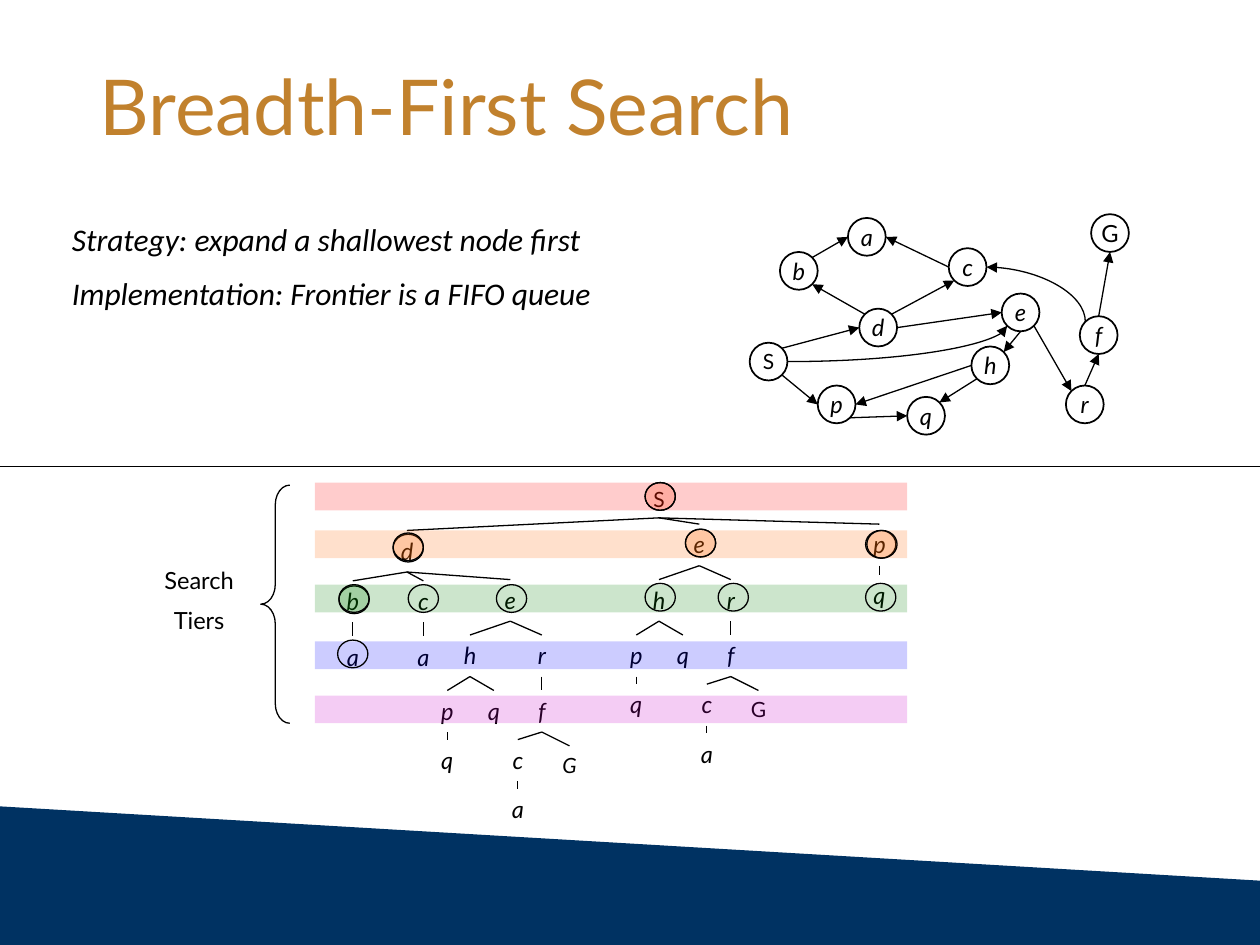
from lxml import etree
from pptx import Presentation
from pptx.dml.color import RGBColor
from pptx.enum.shapes import MSO_CONNECTOR, MSO_SHAPE
from pptx.enum.text import MSO_ANCHOR, PP_ALIGN
from pptx.oxml.ns import qn
from pptx.util import Inches, Pt

STRAIGHT, CURVE = MSO_CONNECTOR.STRAIGHT, MSO_CONNECTOR.CURVE
RECT, OVAL, BRACE = MSO_SHAPE.RECTANGLE, MSO_SHAPE.OVAL, MSO_SHAPE.LEFT_BRACE
NODE = MSO_SHAPE.FLOWCHART_CONNECTOR
CENTER, LEFT, MIDDLE = PP_ALIGN.CENTER, PP_ALIGN.LEFT, MSO_ANCHOR.MIDDLE

COLORS = {"ink": "000000", "title": "C1812D", "footer": "003262",
          "start": "FF3300", "tier0": "FF0000", "tier1": "FF6600",
          "tier2": "008000", "tier3": "0000FF", "tier4": "CC00CC"}

# The slide is a grid of 1000 columns by 750 rows
COLS, ROWS = 1000, 750
CELL = Inches(10) // COLS

# State graph: centre of each node within its box
NODE_SIZE = 30
GRAPH_NODES = {"S": (15, 117), "G": (286, 15), "d": (102, 90), "b": (39, 45),
               "p": (69, 151), "q": (140, 160), "c": (173, 42), "e": (215, 78),
               "h": (191, 120), "a": (93, 18), "f": (277, 96), "r": (266, 151)}
GRAPH_EDGES = ["S se p w", "p se q w", "h sw q ne", "h w p e", "e s h ne",
               "e se r nw", "r n f s", "f n G s", "S ne d w", "d nw b se",
               "b ne a w", "c w a e", "d ne c sw", "d e e w"]
# Curved edges leave sideways; the last field says which end has the arrow
CURVED_EDGES = ["c e f nw headEnd", "S e e sw tailEnd"]


def expansion_of_e(goal_italic):
    """Children of e as (label, dx, dy, children, italic)."""
    p = ("p", -18, 44, [("q", 0, 39, [], True)], True)
    c = ("c", -19, 39, [("a", 0, 39, [], True)], True)
    f = ("f", 0, 44, [c, ("G", 22, 44, [], goal_italic)], True)
    return [("h", -32, 44, [p, ("q", 19, 44, [], True)], True),
            ("r", 25, 44, [f], True)]


SEARCH_TREE = ("S", 273, 0, [
    ("d", -200, 40, [
        ("b", -43, 40, [("a", 0, 44, [], True)], True),
        ("c", 13, 40, [("a", 0, 44, [], True)], True),
        ("e", 82, 39, expansion_of_e(True), True)], True),
    ("e", 32, 35, expansion_of_e(False), True),
    ("p", 175, 35, [("q", 0, 40, [], True)], True)], False)

BAND_ROWS = [2, 40, 83, 128, 171]
# Marks on visited nodes: column, row, fill
MARKS = [(262, 2, "start"), (262, 2, None), (62, 43, None), (294, 39, None),
         (437, 40, None), (19, 84, None), (74, 83, None), (144, 83, None),
         (262, 82, None), (320, 82, None), (437, 82, None), (18, 127, None),
         (62, 42, "tier1"), (294, 39, "tier1"), (438, 40, "tier1"),
         (19, 83, "tier2")]


def rgb(name):
    return RGBColor.from_string(COLORS[name])


def grid(*cells):
    return [round(c * CELL) for c in cells]


def write(tf, lines, size, italic=False, font="Lato", color="ink",
          align=CENTER, gap=0):
    for i, line in enumerate(lines):
        p = tf.paragraphs[0] if i == 0 else tf.add_paragraph()
        p.text, p.alignment = line, align
        p.font.name, p.font.size, p.font.italic = font, Pt(size), italic
        p.font.color.rgb = rgb(color)
        if i:
            p.space_before = Pt(gap)


def add_text(s, box, lines, size, **style):
    tf = s.shapes.add_textbox(*grid(*box)).text_frame
    tf.word_wrap = True
    write(tf, lines, size, **style)
    return tf


def add_shape(s, kind, box, fill=None, width=None):
    sp = s.shapes.add_shape(kind, *grid(*box))
    sp.shadow.inherit = False
    if fill:
        sp.fill.solid()
        sp.fill.fore_color.rgb = rgb(fill)
        # Tints let the labels beneath show through
        clr = sp._element.spPr.find(".//" + qn("a:srgbClr"))
        etree.SubElement(clr, qn("a:alpha"), val="20000")
    else:
        sp.fill.background()
    if width:
        sp.line.color.rgb, sp.line.width = rgb("ink"), Pt(width)
    else:
        sp.line.fill.background()
    return sp


def add_line(s, start, end, arrow=None, kind=STRAIGHT):
    line = s.shapes.add_connector(kind, *grid(*start, *end))
    line.line.color.rgb, line.line.width = rgb("ink"), Pt(0.75)
    spPr = line._element.spPr
    if kind == CURVE:
        spPr.find(qn("a:prstGeom")).set("prst", "curvedConnector2")
    if arrow:
        etree.SubElement(spPr.find(qn("a:ln")), qn("a:" + arrow), type="triangle")
    etree.SubElement(spPr, qn("a:effectLst"))


def footer(s, left, top, width, height):
    fb = s.shapes.build_freeform(left, top, scale=CELL)
    fb.add_line_segments([(left, top + height), (left + width, top + height),
                          (left + width, top + 59)])
    sp = fb.convert_to_shape()
    sp.shadow.inherit = False
    sp.fill.solid()
    sp.fill.fore_color.rgb = rgb("footer")
    sp.line.fill.background()


def title(s, box, text):
    sp = s.shapes.title
    sp.left, sp.top, sp.width, sp.height = grid(*box)
    tf = sp.text_frame
    tf.vertical_anchor = MIDDLE
    write(tf, [text], 44, color="title", align=LEFT)
    tf.paragraphs[0].line_spacing = 0.9


def summary(s, box):
    tf = add_text(s, box, ["Strategy: expand a shallowest node first",
                           "Implementation: Frontier is a FIFO queue"],
                  18, italic=True, font="Calibri", align=LEFT, gap=9)
    tf.margin_left = tf.margin_right = Inches(0.07)
    # The top margin includes the lead above the first line
    tf.margin_top, tf.margin_bottom = Inches(0.04), Inches(0.04)


def state_graph(s, left, top):
    def site(name, side):
        """Point on a node's rim in a compass direction."""
        dx = ("e" in side) - ("w" in side)
        dy = ("s" in side) - ("n" in side)
        reach = NODE_SIZE / 2 / (dx * dx + dy * dy) ** 0.5
        x, y = GRAPH_NODES[name]
        return left + x + dx * reach, top + y + dy * reach

    for name, (x, y) in GRAPH_NODES.items():
        box = (left + x - NODE_SIZE / 2, top + y - NODE_SIZE / 2,
               NODE_SIZE, NODE_SIZE)
        tf = add_shape(s, NODE, box, width=1).text_frame
        tf.word_wrap, tf.vertical_anchor = False, MIDDLE
        write(tf, [name], 12 if name == "S" else 13.5, italic=name.islower())
    for edge in GRAPH_EDGES:
        a, a_side, b, b_side = edge.split()
        add_line(s, site(a, a_side), site(b, b_side), "tailEnd")
    for edge in CURVED_EDGES:
        a, a_side, b, b_side, arrow = edge.split()
        add_line(s, site(a, a_side), site(b, b_side), arrow, CURVE)


def tree_node(s, left, top, node):
    """Draw a node and, below it, its children; return its top centre."""
    label, dx, dy, children, italic = node
    x, y = left + dx, top + dy
    width, height, size = (62, 30, 12) if label.isupper() else (31, 33, 13.5)
    add_text(s, (x - width / 2, y, width, height), [label], size, italic=italic)
    for child in children:
        add_line(s, (x, y + height), tree_node(s, x, y, child))
    return x, y


def search_tiers(s, left, top, width):
    tree_node(s, left, top, SEARCH_TREE)
    for i, row in enumerate(BAND_ROWS):
        add_shape(s, RECT, (left, top + row, width, 22), f"tier{i}")
    brace = add_shape(s, BRACE, (left - 43, top + 4, 23, 189), width=0.75)
    brace.adjustments[0] = 0.68
    add_text(s, (left - 131, top + 63, 78, 67), ["Search", "Tiers"], 13.5, gap=6.75)
    for col, row, fill in MARKS:
        add_shape(s, OVAL, (left + col, top + row, 24, 22), fill, 0.75)


def main():
    prs = Presentation()
    prs.slide_width, prs.slide_height = grid(COLS, ROWS)
    s = prs.slides.add_slide(prs.slide_layouts[5])
    footer(s, 0, 640, COLS, 110)
    title(s, (69, 40, 862, 95), "Breadth-First Search")
    state_graph(s, 595, 170)
    search_tiers(s, 250, 381, 470)
    add_line(s, (0, 370), (COLS, 370))
    summary(s, (50, 171, 437, 83))
    prs.save("out.pptx")


if __name__ == "__main__":
    main()
